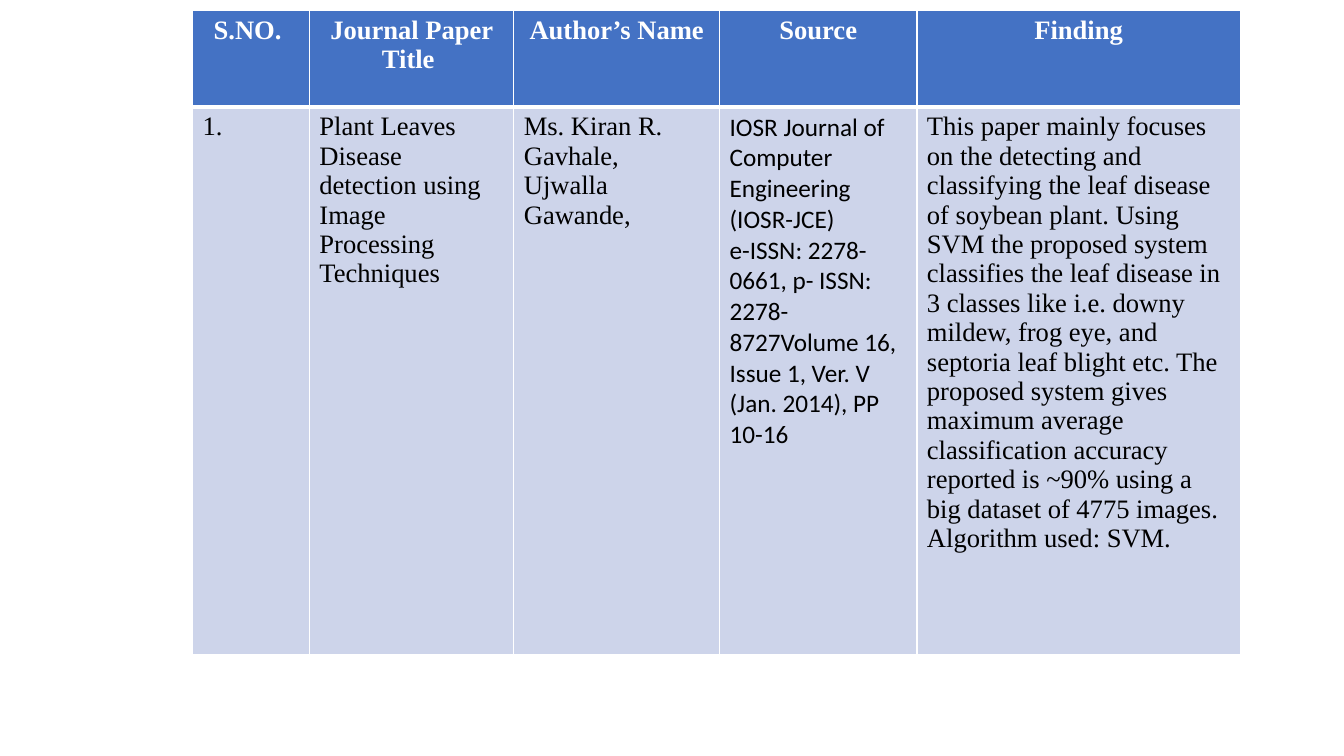
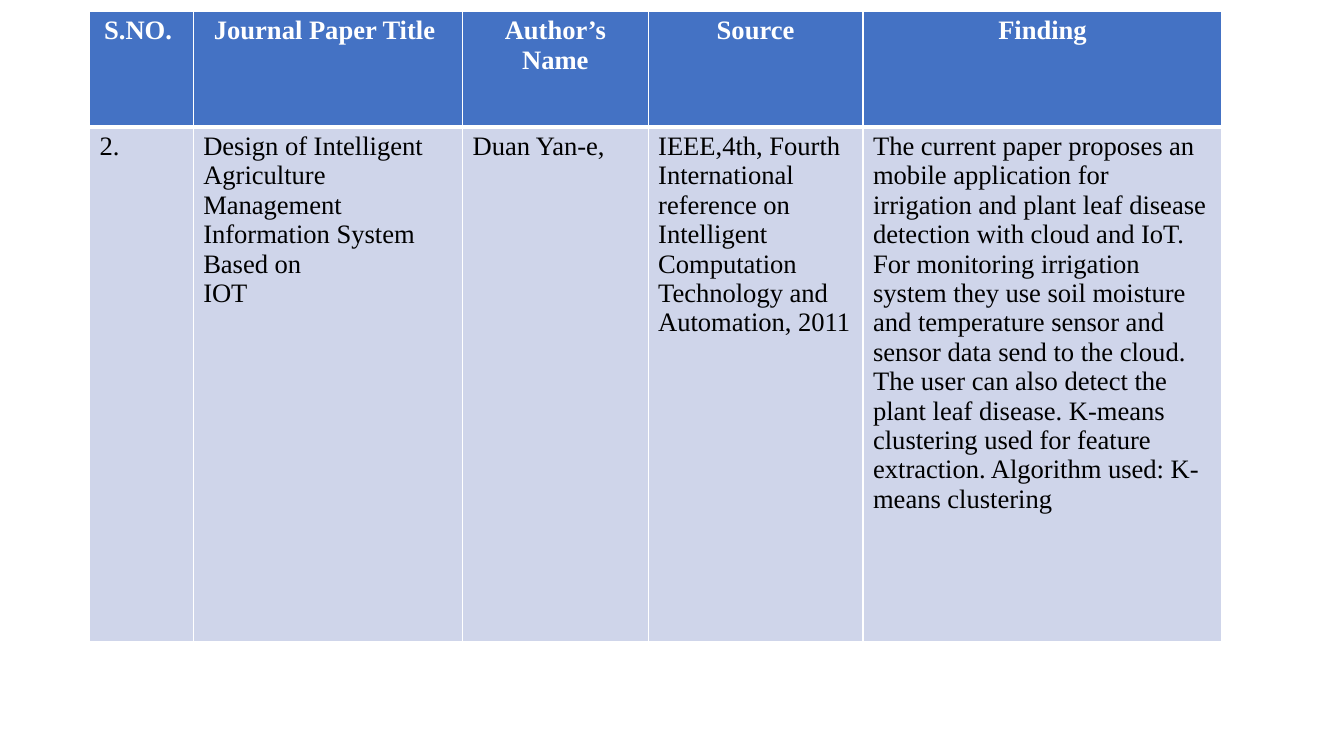
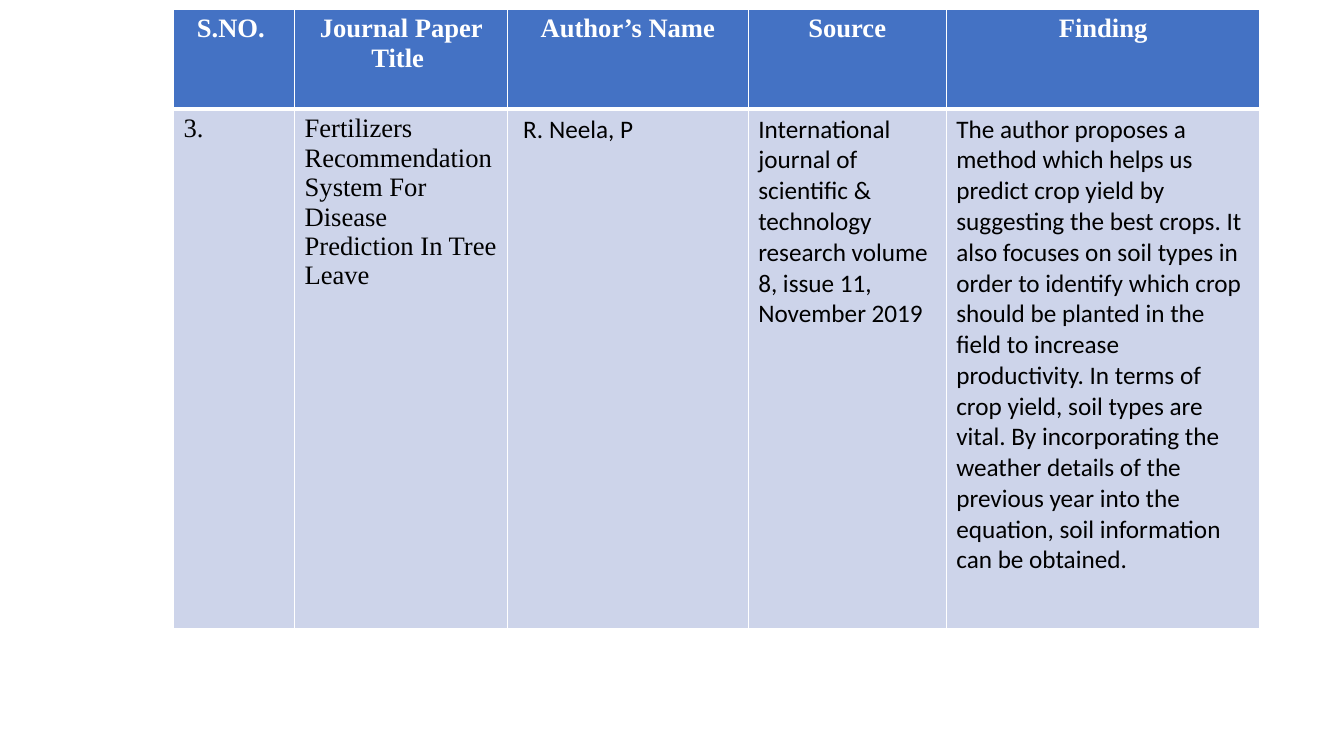
from lxml import etree
from pptx import Presentation
from pptx.dml.color import RGBColor
from pptx.enum import text
from pptx.oxml import ns
from pptx.util import Pt

SERIF = {"font": "Times New Roman", "size": 19}
SANS = {"font": "Calibri", "size": 18}
HEADINGS = ["S.NO. ", "Journal Paper Title ", "Author’s Name", "Source", "Finding"]


def color(value):
    """Turn a hex string into a colour."""
    return RGBColor.from_string(value)


def write(frame, content, font, size, fill="000000", bold=False,
          align=text.PP_ALIGN.LEFT):
    """Fill a text frame, one paragraph for each line of content."""
    frame.word_wrap = True
    for index, line in enumerate(content.split("\n")):
        paragraph = frame.paragraphs[0] if index == 0 else frame.add_paragraph()
        paragraph.alignment = align
        run = paragraph.add_run()
        run.text = line
        run.font.name = font
        run.font.size = Pt(size)
        run.font.bold = bold
        run.font.color.rgb = color(fill)


class Deck:
    """Holds the shared style and the current slide."""

    header_fill = "4472C4"
    rule_color = "FFFFFF"
    thin, thick = 1, 3

    def __init__(self):
        """Start a wide presentation."""
        self.presentation = Presentation()
        self.presentation.slide_width = Pt(960)
        self.presentation.slide_height = Pt(540)
        self.slide = None

    def add_slide(self):
        """Add a blank slide and make it current."""
        self.slide = self.presentation.slides.add_slide(
            self.presentation.slide_layouts[6])

    def rule_cell(self, cell, top, bottom):
        """Draw the four borders of a cell."""
        properties = cell._tc.get_or_add_tcPr()
        widths = {"lnL": self.thin, "lnR": self.thin, "lnT": top, "lnB": bottom}
        for side, width in widths.items():
            line = etree.SubElement(properties, ns.qn("a:" + side), w=str(Pt(width)))
            solid = etree.SubElement(line, ns.qn("a:solidFill"))
            etree.SubElement(solid, ns.qn("a:srgbClr"), val=self.rule_color)

    def style_cell(self, cell, fill, top, bottom):
        """Give a cell its borders and its fill."""
        self.rule_cell(cell, top, bottom)
        cell.fill.solid()
        cell.fill.fore_color.rgb = color(fill)

    def paper_table(self, left, top, columns, rows, entries, body_fill="CDD4EA"):
        """Add a table with the headings and one reviewed paper."""
        table = self.slide.shapes.add_table(
            len(rows), len(columns), Pt(left), Pt(top),
            Pt(sum(columns)), Pt(sum(rows))).table
        table.horz_banding = False
        for row, height in zip(table.rows, rows):
            row.height = Pt(height)
        for index, (width, heading, entry) in enumerate(
                zip(columns, HEADINGS, entries)):
            table.columns[index].width = Pt(width)
            header, body = table.cell(0, index), table.cell(1, index)
            self.style_cell(header, self.header_fill, self.thin, self.thick)
            write(header.text_frame, heading, **SERIF, fill="FFFFFF", bold=True,
                  align=text.PP_ALIGN.CENTER)
            self.style_cell(body, body_fill, self.thick, self.thin)
            content, style = entry
            write(body.text_frame, content, **style,
                  align=text.PP_ALIGN.LEFT if index else text.PP_ALIGN.JUSTIFY)


deck = Deck()

deck.add_slide()
deck.paper_table(137.5, 7.5, [83.5, 146, 147, 141, 231], [69, 391], [
    ("1.", SERIF),
    ("Plant Leaves Disease detection using Image \nProcessing Techniques", SERIF),
    ("Ms. Kiran R. Gavhale, Ujwalla Gawande, ", SERIF),
    ("IOSR Journal of Computer Engineering (IOSR-JCE) \n"
     "e-ISSN: 2278-0661, p- ISSN: 2278-8727Volume 16, Issue 1, Ver. V "
     "(Jan. 2014), PP 10-16 ", SANS),
    ("This paper mainly focuses on the detecting and classifying the leaf disease "
     "of soybean plant. Using SVM the proposed system classifies the leaf disease "
     "in 3 classes like i.e. downy mildew, frog eye, and septoria leaf blight etc. "
     "The proposed system gives maximum average classification accuracy reported "
     "is ~90% using a big dataset of 4775 images. Algorithm used: SVM. ", SERIF),
])

deck.add_slide()
deck.paper_table(64, 8, [74, 192.5, 132.5, 153.5, 256.5], [82.5, 368], [
    ("2. ", SERIF),
    ("Design of Intelligent Agriculture Management Information System Based on \n"
     "IOT", SERIF),
    ("Duan Yan-e, ", SERIF),
    ("IEEE,4th, Fourth International reference on Intelligent Computation "
     "Technology and Automation, 2011 ", SERIF),
    ("The current paper proposes an mobile application for irrigation and plant "
     "leaf disease detection with cloud and IoT. For monitoring irrigation system "
     "they use soil moisture and temperature sensor and sensor data send to the "
     "cloud. The user can also detect the plant leaf disease. K-means clustering "
     "used for feature extraction. Algorithm used: K-means clustering", SERIF),
], body_fill="CFD5EA")

deck.add_slide()
deck.paper_table(124, 6.5, [86.5, 152, 172, 141.5, 224], [71.5, 371], [
    ("3.", SERIF),
    ("Fertilizers Recommendation System For Disease Prediction In Tree Leave ",
     SERIF),
    (" R. Neela, P", SANS),
    ("International journal of scientific & technology research volume 8, issue 11, "
     "November 2019 ", SANS),
    ("The author proposes a method which helps us predict crop yield by suggesting "
     "the best crops. It also focuses on soil types in order to identify which crop "
     "should be planted in the field to increase productivity. In terms of crop "
     "yield, soil types are vital. By incorporating the weather details of the "
     "previous year into the equation, soil information can be obtained. ", SANS),
])

deck.presentation.save("out.pptx")
